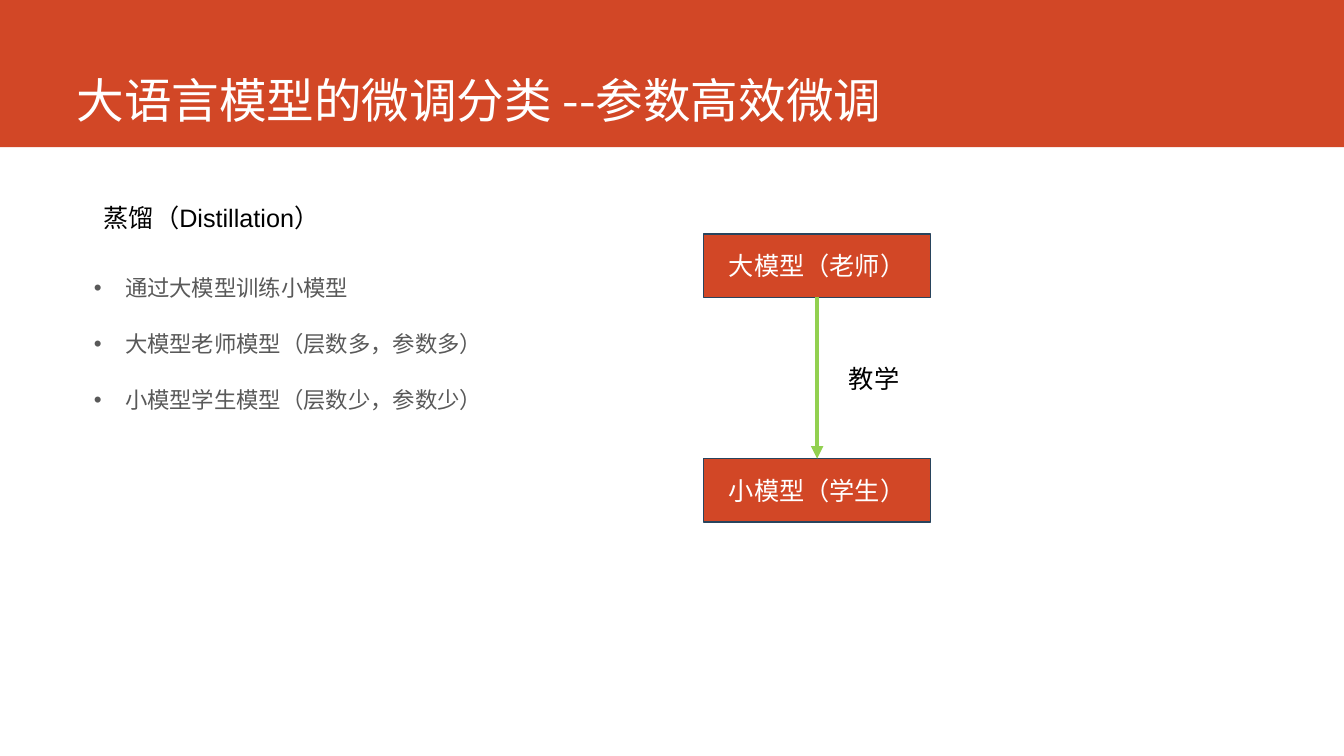
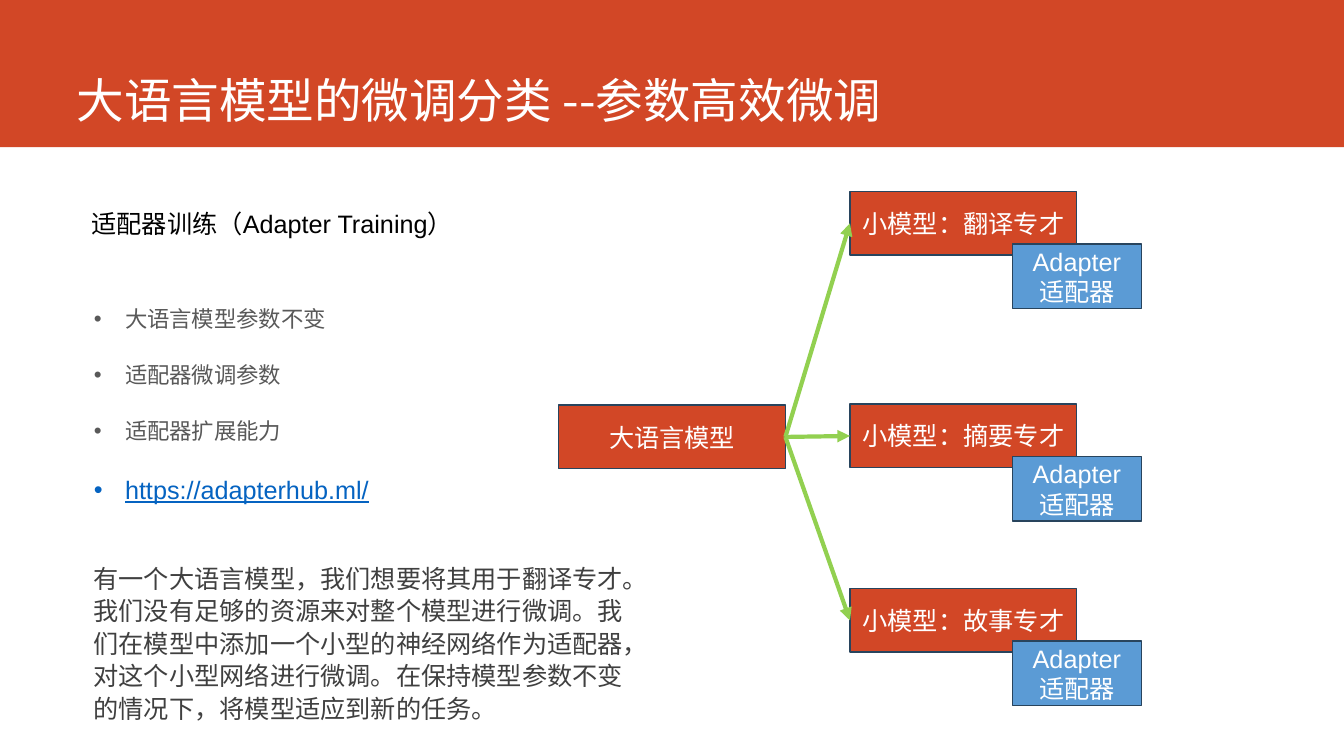
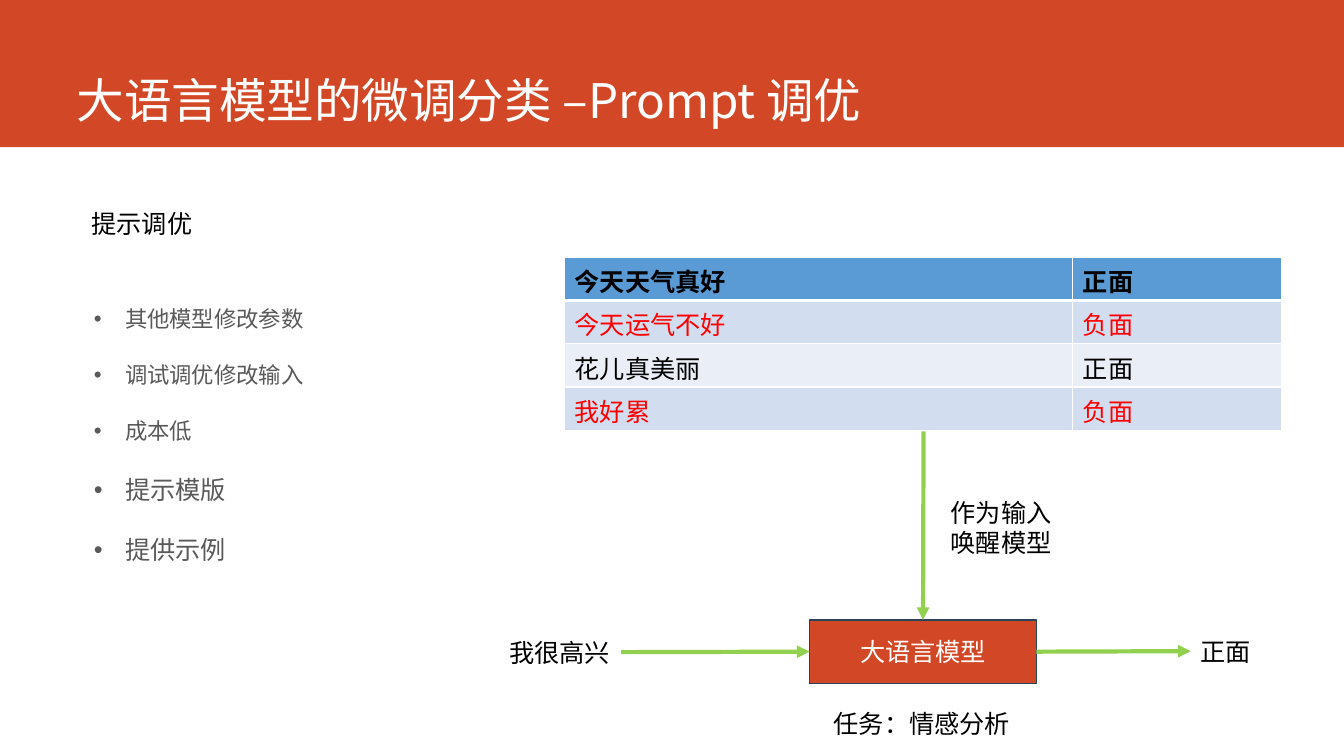
from collections import namedtuple

from lxml import etree
from pptx import Presentation
from pptx import util as u
from pptx.dml.color import RGBColor
from pptx.enum import shapes, text
from pptx.oxml import ns

ORANGE, BLUE, NAVY, GREEN = "D24726", "5B9BD5", "28445D", "92D050"
WHITE, BLACK, GREY, RED = "FFFFFF", "000000", "595959", "FF0000"
BOX_W, BOX_H = 2.25, 0.63

Style = namedtuple("Style", "size font color bold underline", defaults=(False, False))
TITLE = Style(34, "Noto Sans CJK SC", WHITE)
BULLET = Style(16, "Noto Sans CJK SC", GREY)
LARGE_BULLET = Style(18, "Arial", GREY)
ADDRESS = Style(18, "Arial", "0563C1", underline=True)
LABEL = Style(18, "Arial", BLACK)
NOTE = Style(18, "Arial", "404040")
BOX_TEXT = Style(18, "Arial", WHITE)


def rgb(color):
    return RGBColor.from_string(color)


def paint(target, color):
    target.fill.solid()
    target.fill.fore_color.rgb = rgb(color)


def write(paragraph, words, style):
    run = paragraph.add_run()
    run.text = words
    font = run.font
    font.size, font.name = u.Pt(style.size), style.font
    font.bold, font.underline = style.bold, style.underline
    font.color.rgb = rgb(style.color)


def write_lines(frame, lines, style, align=text.PP_ALIGN.LEFT):
    for number, line in enumerate(lines):
        paragraph = frame.add_paragraph() if number else frame.paragraphs[0]
        paragraph.alignment = align
        write(paragraph, line, style)


def place(shape, left, top, width, height):
    shape.left, shape.top = u.Inches(left), u.Inches(top)
    shape.width, shape.height = u.Inches(width), u.Inches(height)


def indent(paragraph, left, first=0, right=0):
    properties = paragraph._p.get_or_add_pPr()
    for name, length in (("marL", left), ("marR", right), ("indent", first)):
        properties.set(name, str(u.Inches(length)))


def add_box(slide, left, top, lines, color=ORANGE, width=BOX_W, height=BOX_H):
    box = slide.shapes.add_shape(
        shapes.MSO_SHAPE.RECTANGLE,
        u.Inches(left), u.Inches(top), u.Inches(width), u.Inches(height))
    box.shadow.inherit = False
    paint(box, color)
    box.line.color.rgb = rgb(NAVY)
    box.line.width = u.Pt(1)
    box.text_frame.word_wrap = True
    box.text_frame.vertical_anchor = text.MSO_ANCHOR.MIDDLE
    write_lines(box.text_frame, lines, BOX_TEXT, text.PP_ALIGN.CENTER)
    return box


def add_label(slide, left, top, width, height, lines, style=LABEL, wrap=False):
    label = slide.shapes.add_textbox(
        u.Inches(left), u.Inches(top), u.Inches(width), u.Inches(height))
    label.text_frame.word_wrap = wrap
    label.text_frame.auto_size = text.MSO_AUTO_SIZE.SHAPE_TO_FIT_TEXT
    write_lines(label.text_frame, lines, style)
    return label


def add_heading(slide, words, left=0.31, top=2.02, level=1):
    heading = add_label(slide, left, top, 6.67, 0.4, [words], wrap=True)
    heading.text_frame.paragraphs[0].level = level


def add_arrow(slide, target, target_side, source=None, source_side=0, start=(0, 0)):
    """Arrow to a side of target, from a side of source or from a start point."""
    x, y = (u.Inches(length) for length in start)
    arrow = slide.shapes.add_connector(shapes.MSO_CONNECTOR.STRAIGHT, x, y, x, y)
    if source is not None:
        arrow.begin_connect(source, source_side)
    arrow.end_connect(target, target_side)
    arrow.line.color.rgb = rgb(GREEN)
    arrow.line.width = u.Pt(3)
    etree.SubElement(arrow.line._get_or_add_ln(), ns.qn("a:tailEnd"), type="triangle")
    etree.SubElement(arrow.element.spPr, ns.qn("a:effectLst"))


def set_border(cell, widths):
    """White borders; widths in points for left, right, top and bottom."""
    properties = cell._tc.get_or_add_tcPr()
    for position, (side, width) in enumerate(zip("LRTB", widths)):
        line = etree.Element(ns.qn(f"a:ln{side}"), w=str(u.Pt(width)))
        fill = etree.SubElement(line, ns.qn("a:solidFill"))
        etree.SubElement(fill, ns.qn("a:srgbClr"), val=WHITE)
        properties.insert(position, line)


def add_examples(slide, left, top, column_widths, row_height, rows):
    table = slide.shapes.add_table(
        len(rows), len(column_widths), u.Inches(left), u.Inches(top),
        u.Inches(sum(column_widths)), u.Inches(row_height * len(rows))).table
    table.first_row = table.horz_banding = False
    for column, width in zip(table.columns, column_widths):
        column.width = u.Inches(width)
    for r, (fill, color, values) in enumerate(rows):
        table.rows[r].height = u.Inches(row_height)
        style = LABEL._replace(color=color, bold=r == 0)
        for c, value in enumerate(values):
            cell = table.cell(r, c)
            paint(cell, fill)
            set_border(cell, (1, 1, 3 if r == 1 else 1, 3 if r == 0 else 1))
            write_lines(cell.text_frame, [value], style)


def set_up_layout(prs):
    """Place the title and the body on the layout that all slides share."""
    layout = prs.slide_layouts[1]
    title, body = layout.placeholders[0], layout.placeholders[1]
    place(title, 0.66, 0, 11.76, 1.32)
    title.text_frame.vertical_anchor = text.MSO_ANCHOR.BOTTOM
    place(body, 0.93, 2.95, 4.85, 3.2)
    frame = body.text_frame
    frame.margin_left = frame.margin_right = frame.margin_top = frame.margin_bottom = 0
    for placeholder in (title, body):
        placeholder.text_frame.auto_size = text.MSO_AUTO_SIZE.NONE
    return layout


def add_band(prs, layout, slide):
    """Draw the band, then move it behind everything on the layout."""
    band = slide.shapes.add_shape(
        shapes.MSO_SHAPE.RECTANGLE, 0, 0, prs.slide_width, u.Inches(1.46))
    band.shadow.inherit = False
    paint(band, ORANGE)
    band.line.fill.background()
    band.element.nvSpPr.cNvPr.set("id", "20")
    layout.shapes.element.insert(2, band.element)


def add_slide(prs, layout, title, bullets, bullets_top=2.95):
    slide = prs.slides.add_slide(layout)
    write_lines(slide.shapes.title.text_frame, [title], TITLE)
    body = slide.placeholders[1]
    place(body, 0.93, bullets_top, 4.85, 3.2)
    for number, (words, style) in enumerate(bullets):
        frame = body.text_frame
        item = frame.add_paragraph() if number else frame.paragraphs[0]
        indent(item, 0.31, -0.31)
        item.line_spacing = 1.3
        item.space_before, item.space_after = u.Pt(5), u.Pt(10)
        write(item, words, style)
    return slide


def build_distillation(prs, layout):
    slide = add_slide(prs, layout, "大语言模型的微调分类 --参数高效微调", [
        ("通过大模型训练小模型", BULLET),
        ("大模型老师模型（层数多，参数多）", BULLET),
        ("小模型学生模型（层数少，参数少）", BULLET),
    ], bullets_top=2.64)
    add_band(prs, layout, slide)
    add_heading(slide, "蒸馏（Distillation）", 0.93, 1.96, level=0)
    teacher = add_box(slide, 6.98, 2.32, ["大模型（老师）"])
    student = add_box(slide, 6.98, 4.55, ["小模型（学生）"])
    add_arrow(slide, student, 0, teacher, 2)
    add_label(slide, 8.32, 3.56, 0.71, 0.4, ["教学"])


def build_adapters(prs, layout):
    slide = add_slide(prs, layout, "大语言模型的微调分类 --参数高效微调", [
        ("大语言模型参数不变", BULLET),
        ("适配器微调参数", BULLET),
        ("适配器扩展能力", BULLET),
        ("https://adapterhub.ml/", ADDRESS),
    ])
    add_heading(slide, "适配器训练（Adapter Training）")
    base_model = add_box(slide, 5.54, 4.02, ["大语言模型"])
    for skill, top in (("翻译", 1.9), ("摘要", 4.01), ("故事", 5.84)):
        specialist = add_box(slide, 8.43, top, [f"小模型：{skill}专才"])
        add_box(slide, 10.04, top + 0.52, ["Adapter", "适配器"], BLUE, 1.28, 0.64)
        add_arrow(slide, specialist, 1, base_model, 3)
    note = add_label(slide, 0.33, 5.52, 6.66, 1.7, [
        "有一个大语言模型，我们想要将其用于翻译专才。我们没有足够的资源来对整个模型进行微调。"
        "我们在模型中添加一个小型的神经网络作为适配器，对这个小型网络进行微调。"
        "在保持模型参数不变的情况下，将模型适应到新的任务。"], NOTE, wrap=True)
    paragraph = note.text_frame.paragraphs[0]
    indent(paragraph, 0.5, right=0.5)
    paragraph.line_spacing = 1.07
    paragraph.space_after = u.Pt(8)


def build_prompt_tuning(prs, layout):
    slide = add_slide(prs, layout, "大语言模型的微调分类 –Prompt 调优", [
        ("其他模型修改参数", BULLET),
        ("调试调优修改输入", BULLET),
        ("成本低", BULLET),
        ("提示模版", LARGE_BULLET),
        ("提供示例", LARGE_BULLET),
    ])
    add_heading(slide, "提示调优")
    model = add_box(slide, 8.03, 6.15, ["大语言模型"])
    sentence = add_label(slide, 4.95, 6.27, 1.21, 0.4, ["我很高兴"])
    answer = add_label(slide, 11.81, 6.26, 0.71, 0.4, ["正面"])
    add_label(slide, 8.17, 6.98, 1.97, 0.4, ["任务：情感分析"])
    add_examples(slide, 5.6, 2.55, (5.04, 2.07), 0.43, [
        (BLUE, BLACK, ("今天天气真好", "正面")),
        ("D2DEEF", RED, ("今天运气不好", "负面")),
        ("EAEFF7", BLACK, ("花儿真美丽", "正面")),
        ("D2DEEF", RED, ("我好累", "负面")),
    ])
    add_arrow(slide, model, 1, sentence, 3)
    add_arrow(slide, answer, 1, model, 3)
    add_arrow(slide, model, 0, start=(9.16, 4.28))
    add_label(slide, 9.33, 4.88, 1.21, 0.71, ["作为输入", "唤醒模型"])


def main():
    prs = Presentation()
    prs.slide_width, prs.slide_height = u.Inches(13.33), u.Inches(7.5)
    layout = set_up_layout(prs)
    build_distillation(prs, layout)
    build_adapters(prs, layout)
    build_prompt_tuning(prs, layout)
    prs.save("out.pptx")


if __name__ == "__main__":
    main()
